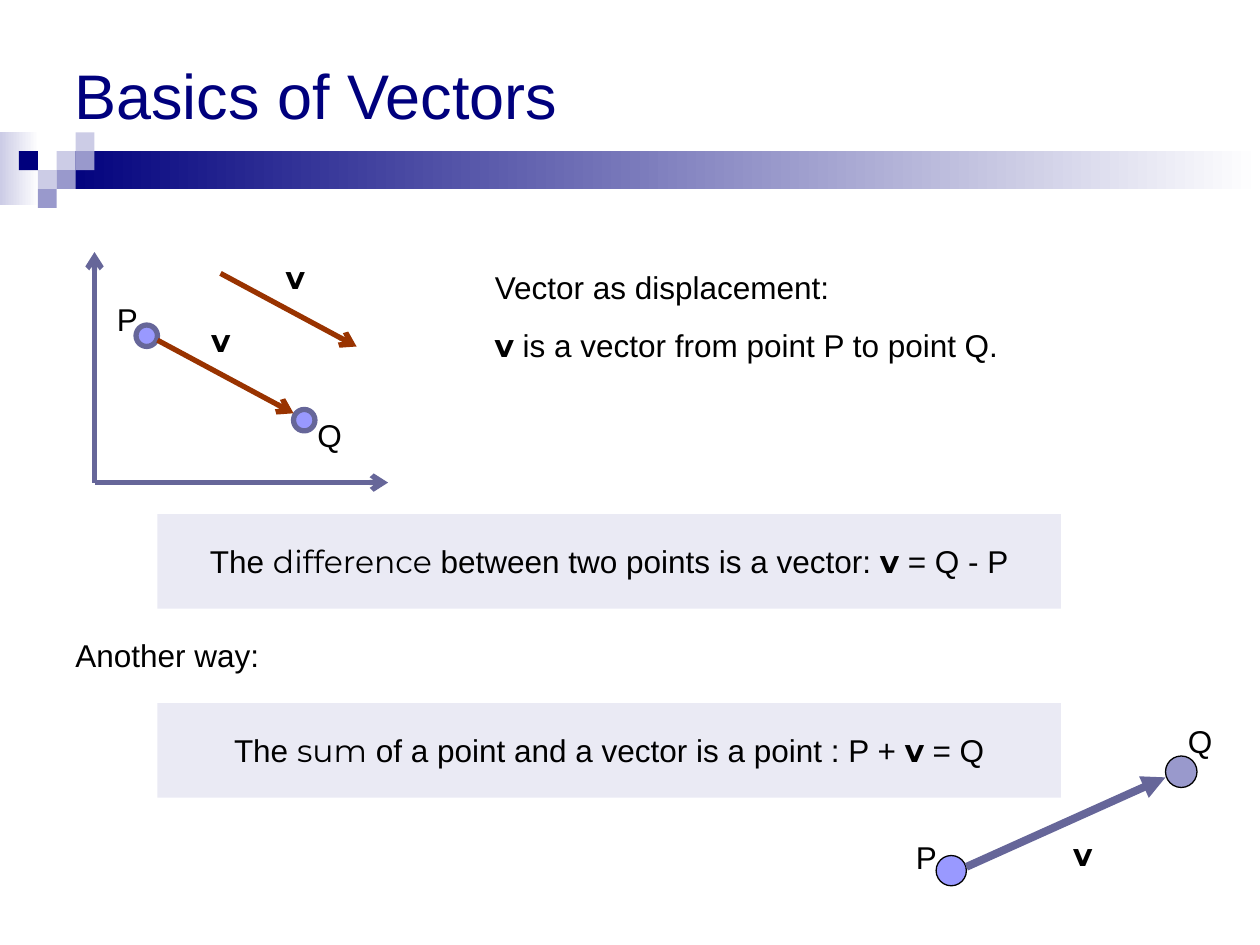
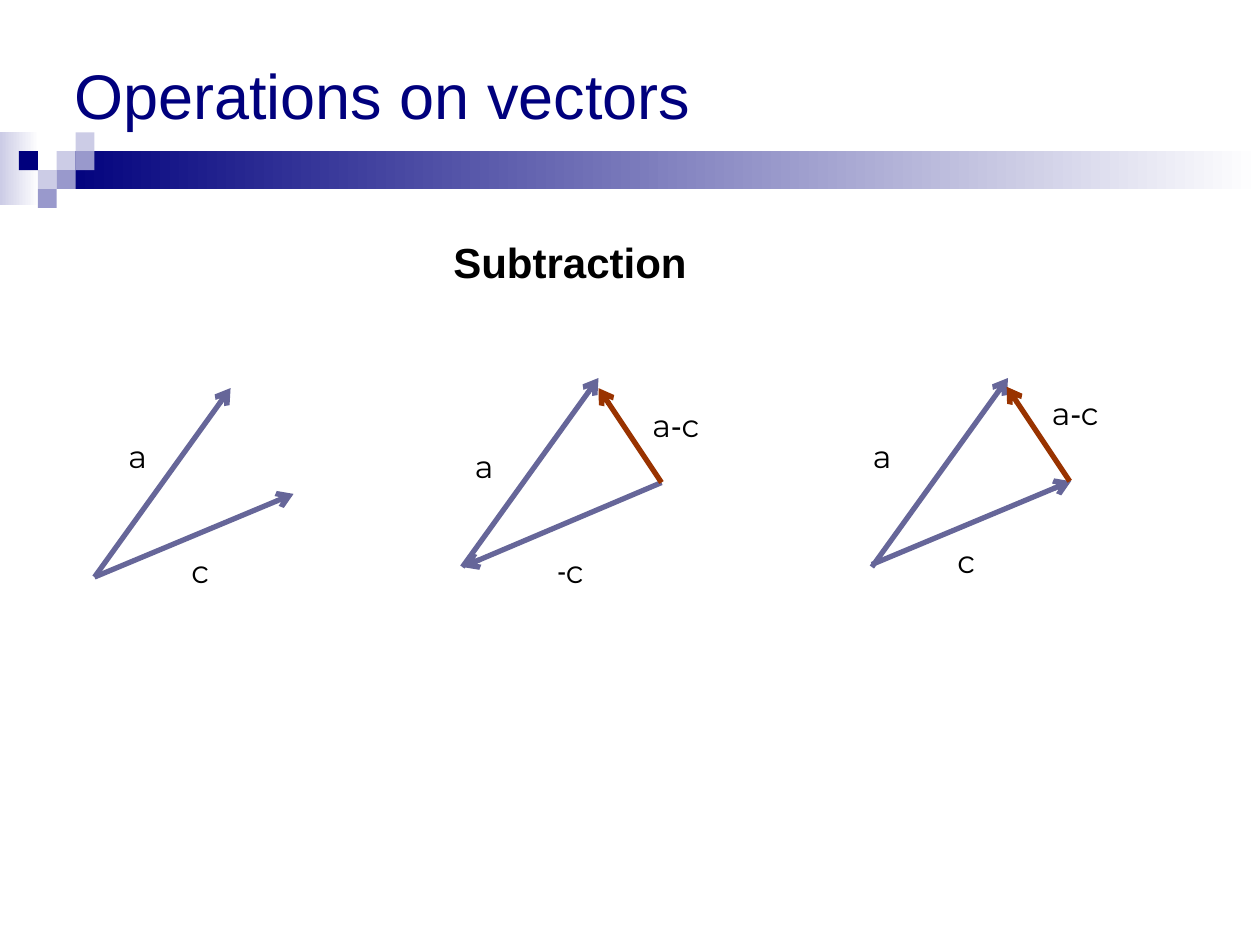
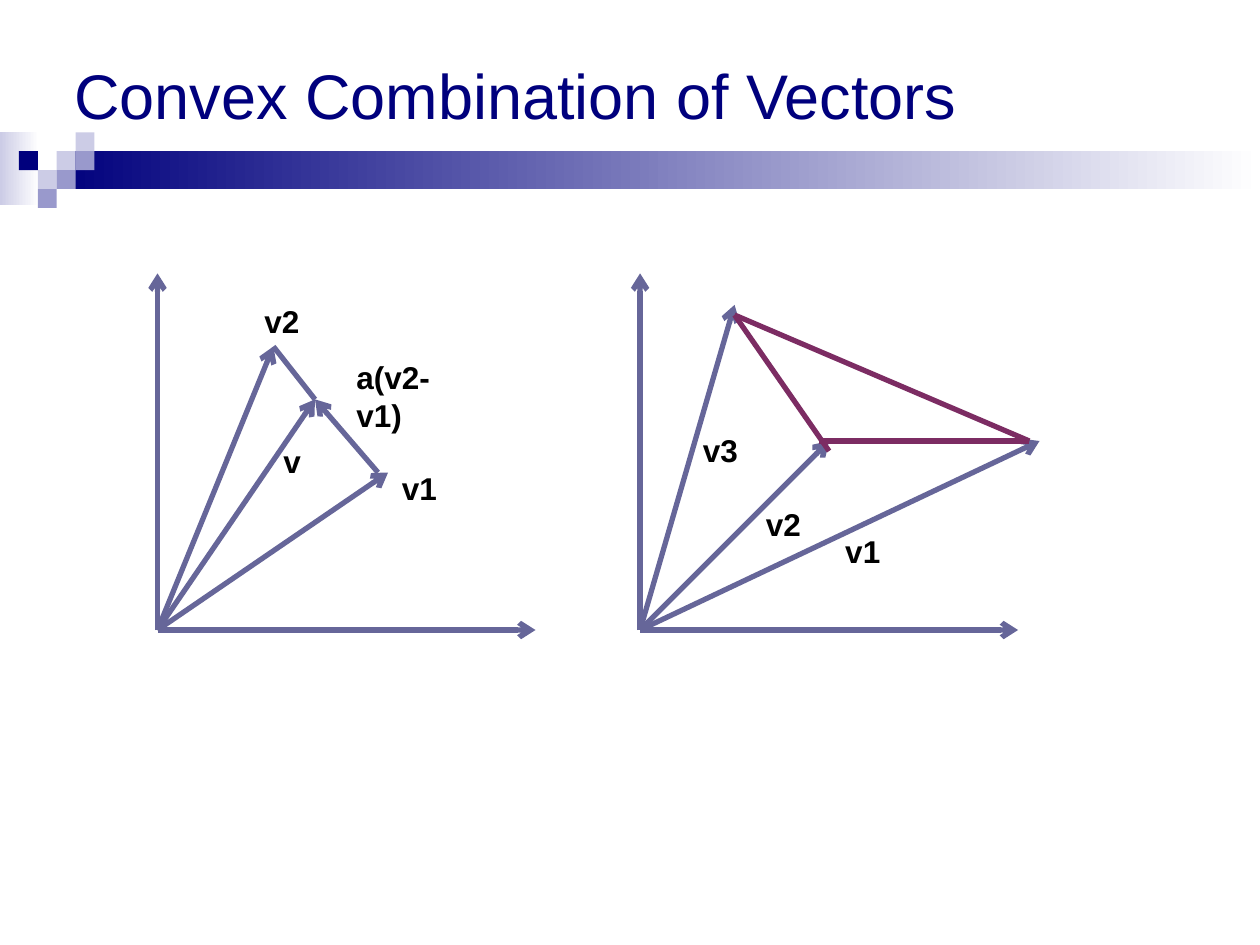
from pptx import Presentation
from pptx.dml.color import RGBColor
from pptx.enum.shapes import MSO_CONNECTOR, MSO_SHAPE
from pptx.enum.text import MSO_ANCHOR, PP_ALIGN
from pptx.oxml.ns import qn
from pptx.util import Inches, Pt
from lxml.etree import SubElement

COLORS = {
    "navy": "00007D", "pale": "CCCCE6", "mid": "9999CC", "white": "FFFFFF",
    "slate": "666699", "rust": "993300", "plum": "7C2C63", "point": "9999FF",
    "black": "000000",
}
SANS, ROUND, NARROW = "Arial", "Montserrat", "Roboto Condensed"
CELL, BAND_TOP = 0.15, 1.05
BAND_CELLS = [(3, 1, "pale"), (4, 0, "pale"), (4, 1, "mid"), (2, 2, "pale"),
              (1, 1, "navy"), (3, 2, "mid"), (2, 3, "mid")]
BAND_GRADIENTS = [((0, 1.05, 0.31, 0.58), "pale"), ((0.45, 1.2, 9.55, 0.3), "navy")]

VECTOR = [("v", ROUND, True)]
POINT_P = [("P", SANS, False)]
POINT_Q = [("Q", SANS, False)]
VECTOR_A = [("a", ROUND, False)]
VECTOR_C = [("c", ROUND, False)]
MINUS_C = [("-", NARROW, False), ("c", ROUND, False)]
A_MINUS_C = [("a", ROUND, False), ("-", SANS, False), ("c", ROUND, False)]

DISPLACEMENT = [
    [("Vector as displacement:", SANS, False)],
    [("v ", ROUND, True), ("is a vector from point P to point Q.", SANS, False)],
]
STATEMENTS = [
    (4.08, [("The ", SANS, False), ("difference", ROUND, False),
            (" between two points is a vector: ", SANS, False),
            ("v", ROUND, True), (" = Q - P", SANS, False)]),
    (5.58, [("The ", SANS, False), ("sum", ROUND, False),
            (" of a point and a vector is a point : P + ", SANS, False),
            ("v", ROUND, True), (" = Q", SANS, False)]),
]
BASICS_POINTS = [
    (1.08, 2.58, 0.17, "point", "slate", 3), (2.33, 3.25, 0.17, "point", "slate", 3),
    (7.43, 6.79, 0.24, "point", "black", 0.75), (9.25, 6, 0.25, "mid", "black", 0.75),
]
BASICS_LABELS = [
    (1.58, 2.5, 0.25, VECTOR), (2.17, 2, 0.25, VECTOR), (2.42, 3.25, 0.42, POINT_Q),
    (0.83, 2.33, 0.25, POINT_P), (0.5, 5, 1.83, [("Another way:", SANS, False)]),
    (8.42, 6.58, 0.33, VECTOR), (9.33, 5.68, 0.42, POINT_Q), (7.17, 6.6, 0.25, POINT_P),
]
SUBTRACTION_ARROWS = [
    ((0.75, 4.58), (1.83, 3.08), "slate"), ((0.75, 4.58), (2.33, 3.92), "slate"),
    ((3.67, 4.5), (4.75, 3), "slate"), ((5.25, 3.83), (3.67, 4.5), "slate"),
    ((5.25, 3.83), (4.75, 3.08), "rust"), ((6.92, 4.5), (8, 3), "slate"),
    ((6.92, 4.48), (8.5, 3.82), "slate"), ((8.49, 3.82), (7.99, 3.07), "rust"),
]
SUBTRACTION_LABELS = [
    (0.92, 3.42, 0.33, VECTOR_A), (1.42, 4.33, 0.33, VECTOR_C),
    (3.67, 3.5, 0.33, VECTOR_A), (4.33, 4.33, 0.67, MINUS_C),
    (5.08, 3.17, 0.75, A_MINUS_C), (6.83, 3.42, 0.33, VECTOR_A),
    (7.5, 4.25, 0.67, VECTOR_C), (8.25, 3.08, 0.75, A_MINUS_C),
]
CONVEX_FANS = [
    ((1.25, 5), [(2.17, 2.75), (3.08, 3.75), (2.5, 3.17)]),
    ((5.08, 5), [(5.83, 2.42), (8.25, 3.5), (6.58, 3.5)]),
]
HULL_EDGES = [((5.83, 2.5), (6.58, 3.58)), ((5.83, 2.5), (8.17, 3.5)),
              ((6.5, 3.5), (8.17, 3.5))]
CONVEX_LABELS = [
    (3.09, 3.67, 0.48, "v1"), (2, 2.35, 0.48, "v2"), (2.15, 3.46, 0.34, "v"),
    (2.73, 2.79, 1.14, "a(v2-v1)"), (6.61, 4.17, 0.48, "v1"),
    (5.98, 3.96, 0.48, "v2"), (5.48, 3.37, 0.48, "v3"),
]


def rgb(name):
    return RGBColor.from_string(COLORS[name])


def write_runs(paragraph, runs, size=18):
    font = paragraph.font
    font.size = Pt(size)
    font.color.rgb = rgb("black")
    if len(runs) == 1:
        font.name, font.bold = runs[0][1:]
    for text, name, bold in runs:
        run = paragraph.add_run()
        run.text = text
        if len(runs) > 1:
            run.font.name, run.font.bold = name, bold


def add_text(slide, left, top, width, height, paragraphs, size=18, wrap=True):
    box = slide.shapes.add_textbox(*map(Inches, (left, top, width, height)))
    frame = box.text_frame
    frame.word_wrap = wrap
    for index, runs in enumerate(paragraphs):
        paragraph = frame.add_paragraph() if index else frame.paragraphs[0]
        if index:
            paragraph.space_before = Pt(11.2)
        write_runs(paragraph, runs, size)


def add_labels(slide, labels):
    for left, top, width, runs in labels:
        add_text(slide, left, top, width, 0.4, [runs])


def add_plain_shape(slide, kind, at, color):
    shape = slide.shapes.add_shape(kind, *map(Inches, at))
    shape.shadow.inherit = False
    shape.fill.solid()
    shape.fill.fore_color.rgb = rgb(color)
    shape.line.fill.background()
    return shape


def add_line(slide, start, end, color="slate", width=3, arrow="arrow"):
    line = slide.shapes.add_connector(MSO_CONNECTOR.STRAIGHT, *map(Inches, (*start, *end)))
    line.line.color.rgb = rgb(color)
    line.line.width = Pt(width)
    if arrow:
        SubElement(line.get_or_add_ln(), qn("a:tailEnd"), type=arrow)
    SubElement(line.element.spPr, qn("a:effectLst"))


def add_axes(slide, origin, width, height):
    x, y = origin
    add_line(slide, origin, (x, y - height))
    add_line(slide, origin, (x + width, y))


def move_band_to_layout(slide, layout):
    band = []
    for at, color in BAND_GRADIENTS:
        shape = add_plain_shape(slide, MSO_SHAPE.RECTANGLE, at, color)
        shape.fill.gradient()
        shape.fill.gradient_angle = 0
        for stop, name in zip(shape.fill.gradient_stops, (color, "white")):
            stop.color.rgb = rgb(name)
        band.append(shape)
    for column, row, color in BAND_CELLS:
        at = (column * CELL, BAND_TOP + row * CELL, CELL, CELL)
        band.append(add_plain_shape(slide, MSO_SHAPE.RECTANGLE, at, color))
    for shape in band:
        layout.shapes.element.append(shape.element)


def add_slide(presentation, title):
    slide = presentation.slides.add_slide(presentation.slide_layouts[5])
    shape = slide.shapes.title
    shape.left, shape.top, shape.width, shape.height = map(Inches, (0.49, 0, 9, 1.5))
    shape.text_frame.text = title
    shape.text_frame.vertical_anchor = MSO_ANCHOR.MIDDLE
    paragraph = shape.text_frame.paragraphs[0]
    paragraph.alignment = PP_ALIGN.LEFT
    paragraph.font.name = SANS
    paragraph.font.size = Pt(36)
    paragraph.font.color.rgb = rgb("navy")
    return slide


def add_statement(slide, top, runs):
    shape = add_plain_shape(slide, MSO_SHAPE.RECTANGLE, (1.25, top, 7.17, 0.75), "pale")
    color = shape.fill._xPr.find(qn("a:solidFill")).find(qn("a:srgbClr"))
    SubElement(color, qn("a:alpha"), val="41000")
    frame = shape.text_frame
    frame.word_wrap = False
    frame.vertical_anchor = MSO_ANCHOR.MIDDLE
    frame.paragraphs[0].alignment = PP_ALIGN.CENTER
    write_runs(frame.paragraphs[0], runs)


def build_basics(presentation):
    slide = add_slide(presentation, "Basics of Vectors")
    move_band_to_layout(slide, slide.slide_layout)
    add_axes(slide, (0.75, 3.83), 2.33, 1.83)
    for left, top, size, fill, outline, width in BASICS_POINTS:
        point = add_plain_shape(slide, MSO_SHAPE.OVAL, (left, top, size, size), fill)
        point.line.color.rgb = rgb(outline)
        point.line.width = Pt(width)
    add_line(slide, (1.25, 2.7), (2.33, 3.28), "rust")
    add_line(slide, (1.75, 2.17), (2.83, 2.75), "rust")
    add_line(slide, (7.67, 6.88), (9.25, 6.17), width=4.5, arrow="triangle")
    add_text(slide, 3.83, 2.08, 4.75, 0.86, DISPLACEMENT)
    for top, runs in STATEMENTS:
        add_statement(slide, top, runs)
    add_labels(slide, BASICS_LABELS)


def build_subtraction(presentation):
    slide = add_slide(presentation, "Operations on vectors")
    add_text(slide, 3.5, 1.83, 3.17, 0.5, [[("Subtraction", SANS, True)]], 24)
    for start, end, color in SUBTRACTION_ARROWS:
        add_line(slide, start, end, color)
    add_labels(slide, SUBTRACTION_LABELS)


def build_convex(presentation):
    slide = add_slide(presentation, "Convex Combination of Vectors")
    for origin, tips in CONVEX_FANS:
        add_axes(slide, origin, 3, 2.83)
        for tip in tips:
            add_line(slide, origin, tip)
    add_line(slide, (2.17, 2.75), (2.5, 3.17), arrow=None)
    add_line(slide, (3, 3.75), (2.5, 3.17))
    for start, end in HULL_EDGES:
        add_line(slide, start, end, "plum", arrow=None)
    for left, top, width, text in CONVEX_LABELS:
        add_text(slide, left, top, width, 0.4, [[(text, SANS, True)]], wrap=False)


def main():
    presentation = Presentation()
    presentation.slide_width, presentation.slide_height = Inches(10), Inches(7.5)
    build_basics(presentation)
    build_subtraction(presentation)
    build_convex(presentation)
    presentation.save("out.pptx")


if __name__ == "__main__":
    main()
